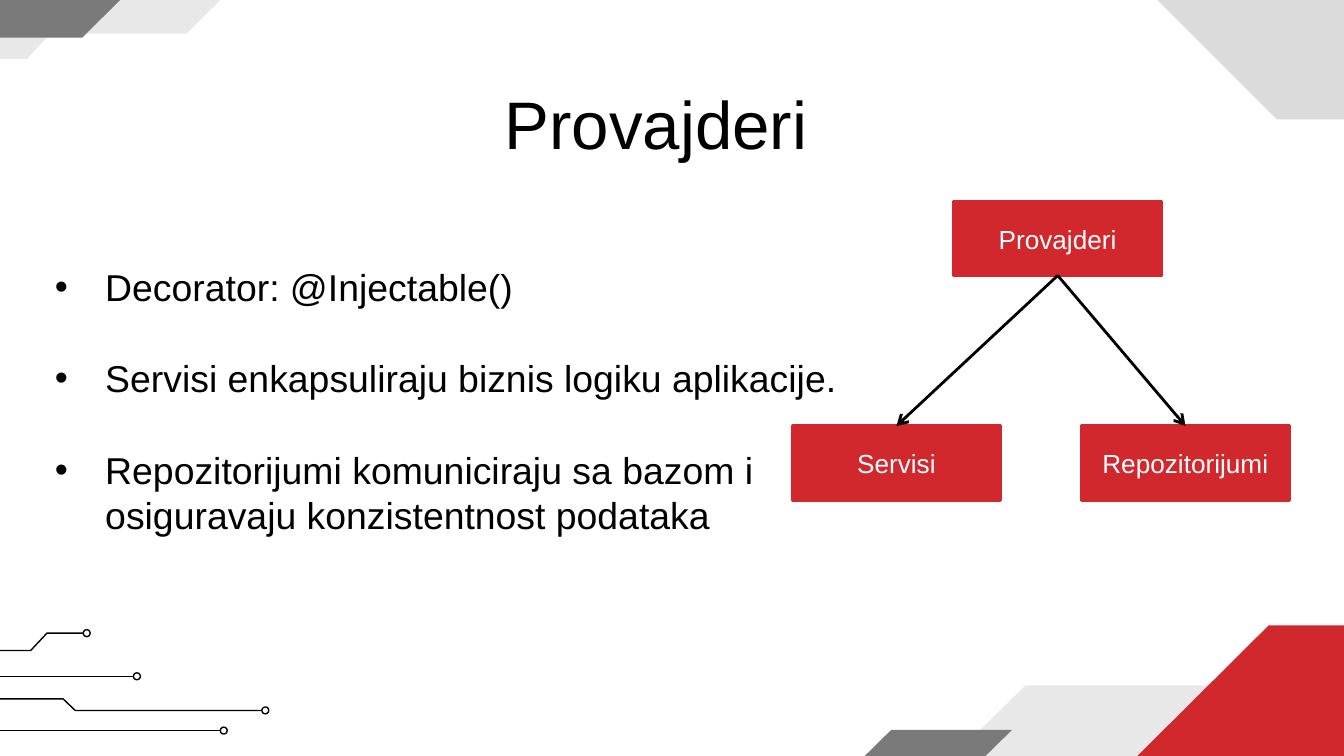
"""Build the slide about providers, with its tree of boxes and corner ornaments."""
from dataclasses import dataclass

from lxml.etree import SubElement
from pptx import Presentation
from pptx.dml.color import RGBColor
from pptx.enum.shapes import MSO_CONNECTOR as Connector
from pptx.enum.shapes import MSO_SHAPE as Preset
from pptx.enum.text import MSO_ANCHOR as Anchor
from pptx.enum.text import PP_ALIGN as Align
from pptx.oxml.ns import qn
from pptx.shapes.autoshape import Shape
from pptx.shapes.connector import Connector as Line
from pptx.slide import Slide
from pptx.text.text import TextFrame
from pptx.util import Pt

WIDTH, HEIGHT = 720, 405
FONT = "Arial"
COLORS = {
    "black": "000000",
    "white": "FFFFFF",
    "red": "D1282E",
    "dark": "7A7A7A",
    "middle": "DBDBDB",
    "pale": "E8E8E8",
}
BOX_WIDTH, BOX_HEIGHT = 110.9, 39.6
RING_SIZE = 3.7
INDENT = 27

Points = tuple[tuple[float, float], ...]


@dataclass(frozen=True)
class Ornament:
    color: str
    points: Points


@dataclass(frozen=True)
class Box:
    text: str
    left: float
    top: float


PALE_ORNAMENTS = (
    Ornament("pale", ((720, 345.6), (720, 405), (511, 405), (549.4, 367.2),
                      (667.4, 367.2), (689.8, 345.6))),
    Ornament("middle", ((620, 0), (720, 0), (720, 64), (684, 64))),
    Ornament("pale", ((0, 0), (118, 0), (100, 18), (27, 18), (14.5, 31.5), (0, 31.5))),
)
STRONG_ORNAMENTS = (
    Ornament("dark", ((0, 0), (64.4, 0), (44, 20.2), (0, 20.2))),
    Ornament("dark", ((463.3, 405), (477.5, 391), (542.2, 391), (528, 405))),
    Ornament("red", ((720, 335), (720, 405), (609.3, 405), (679.7, 335))),
)
TRACES: tuple[Points, ...] = (
    ((0, 362.3), (71.5, 362.3)),
    ((0, 348.5), (16.5, 348.5), (25.2, 339.2), (44.6, 339.2)),
    ((0, 374.4), (33.8, 374.4), (40.3, 380.6), (140.3, 380.6)),
    ((0, 391.4), (118, 391.4)),
)
ROOT = Box("Provajderi", 511.2, 108)
CHILDREN = (Box("Servisi", 424.8, 228.2), Box("Repozitorijumi", 579.6, 228.2))
BULLETS = (
    "Decorator: @Injectable()",
    "Servisi enkapsuliraju biznis logiku aplikacije.",
    "Repozitorijumi komuniciraju sa bazom i osiguravaju konzistentnost podataka",
)


def color(name: str) -> RGBColor:
    return RGBColor.from_string(COLORS[name])


def style_line(shape: Shape | Line, name: str, width: float) -> None:
    shape.line.color.rgb = color(name)
    shape.line.width = Pt(width)


def add_path(slide: Slide, points: Points, close: bool) -> Shape:
    corners = [(Pt(x), Pt(y)) for x, y in points]
    builder = slide.shapes.build_freeform(*corners[0])
    builder.add_line_segments(corners[1:], close=close)
    shape = builder.convert_to_shape()
    shape.shadow.inherit = False
    return shape


def add_ornament(slide: Slide, ornament: Ornament) -> None:
    shape = add_path(slide, ornament.points, close=True)
    shape.fill.solid()
    shape.fill.fore_color.rgb = color(ornament.color)
    shape.line.fill.background()


def add_line(slide: Slide, start: tuple[float, float], end: tuple[float, float],
             width: float) -> Line:
    line = slide.shapes.add_connector(
        Connector.STRAIGHT, *(Pt(value) for value in (*start, *end)))
    style_line(line, "black", width)
    SubElement(line._element.spPr, qn("a:effectLst"))
    return line


def add_trace(slide: Slide, points: Points) -> None:
    if len(points) == 2:
        add_line(slide, *points, 0.75)
    else:
        path = add_path(slide, points, close=False)
        path.fill.background()
        style_line(path, "black", 0.75)
    x, y = points[-1]
    ring = slide.shapes.add_shape(
        Preset.OVAL, Pt(x), Pt(y - RING_SIZE / 2), Pt(RING_SIZE), Pt(RING_SIZE))
    ring.shadow.inherit = False
    ring.fill.background()
    style_line(ring, "black", 0.75)


def add_text_box(slide: Slide, left: float, top: float, width: float, height: float,
                 lines: tuple[str, ...], size: float) -> TextFrame:
    frame = slide.shapes.add_textbox(Pt(left), Pt(top), Pt(width), Pt(height)).text_frame
    frame.word_wrap = True
    frame.vertical_anchor = Anchor.MIDDLE
    frame.margin_left = frame.margin_right = Pt(7.2)
    frame.margin_top = frame.margin_bottom = Pt(7.2)
    frame.text = "\n".join(lines)
    for paragraph in frame.paragraphs:
        paragraph.font.name = FONT
        paragraph.font.size = Pt(size)
        paragraph.font.color.rgb = color("black")
    return frame


def add_bullets(frame: TextFrame) -> None:
    for index, paragraph in enumerate(frame.paragraphs):
        if index:
            paragraph.space_before = Pt(25)
        properties = paragraph._p.get_or_add_pPr()
        properties.set("marL", str(Pt(INDENT)))
        properties.set("indent", str(-Pt(INDENT)))
        bullet_font = properties.makeelement(qn("a:buFont"), {"typeface": FONT})
        bullet = properties.makeelement(qn("a:buChar"), {"char": "•"})
        defaults = properties.find(qn("a:defRPr"))
        defaults.addprevious(bullet_font)
        defaults.addprevious(bullet)


def add_box(slide: Slide, box: Box) -> Shape:
    shape = slide.shapes.add_shape(
        Preset.RECTANGLE, Pt(box.left), Pt(box.top), Pt(BOX_WIDTH), Pt(BOX_HEIGHT))
    shape.shadow.inherit = False
    shape.fill.solid()
    shape.fill.fore_color.rgb = color("red")
    style_line(shape, "red", 2)
    frame = shape.text_frame
    frame.text = box.text
    frame.vertical_anchor = Anchor.MIDDLE
    paragraph = frame.paragraphs[0]
    paragraph.alignment = Align.CENTER
    paragraph.font.name = FONT
    paragraph.font.size = Pt(14)
    paragraph.font.color.rgb = color("white")
    return shape


def add_arrow(slide: Slide, parent: Shape, child: Shape) -> None:
    arrow = add_line(slide, (0, 0), (0, 0), 1.5)
    arrow.begin_connect(parent, 2)
    arrow.end_connect(child, 0)
    SubElement(arrow.line._get_or_add_ln(), qn("a:tailEnd"), type="arrow")


def main() -> None:
    presentation = Presentation()
    presentation.slide_width, presentation.slide_height = Pt(WIDTH), Pt(HEIGHT)
    slide = presentation.slides.add_slide(presentation.slide_layouts[6])
    for ornament in PALE_ORNAMENTS:
        add_ornament(slide, ornament)
    for points in TRACES:
        add_trace(slide, points)
    for ornament in STRONG_ORNAMENTS:
        add_ornament(slide, ornament)
    title = add_text_box(slide, 67.7, 28.1, 567.4, 74.9, ("Provajderi",), 36)
    title.paragraphs[0].alignment = Align.CENTER
    add_bullets(add_text_box(slide, 22.3, 177.1, 439.2, 74.9, BULLETS, 20))
    root = add_box(slide, ROOT)
    children = [add_box(slide, box) for box in CHILDREN]
    for child in children:
        add_arrow(slide, root, child)
    presentation.save("out.pptx")


if __name__ == "__main__":
    main()
